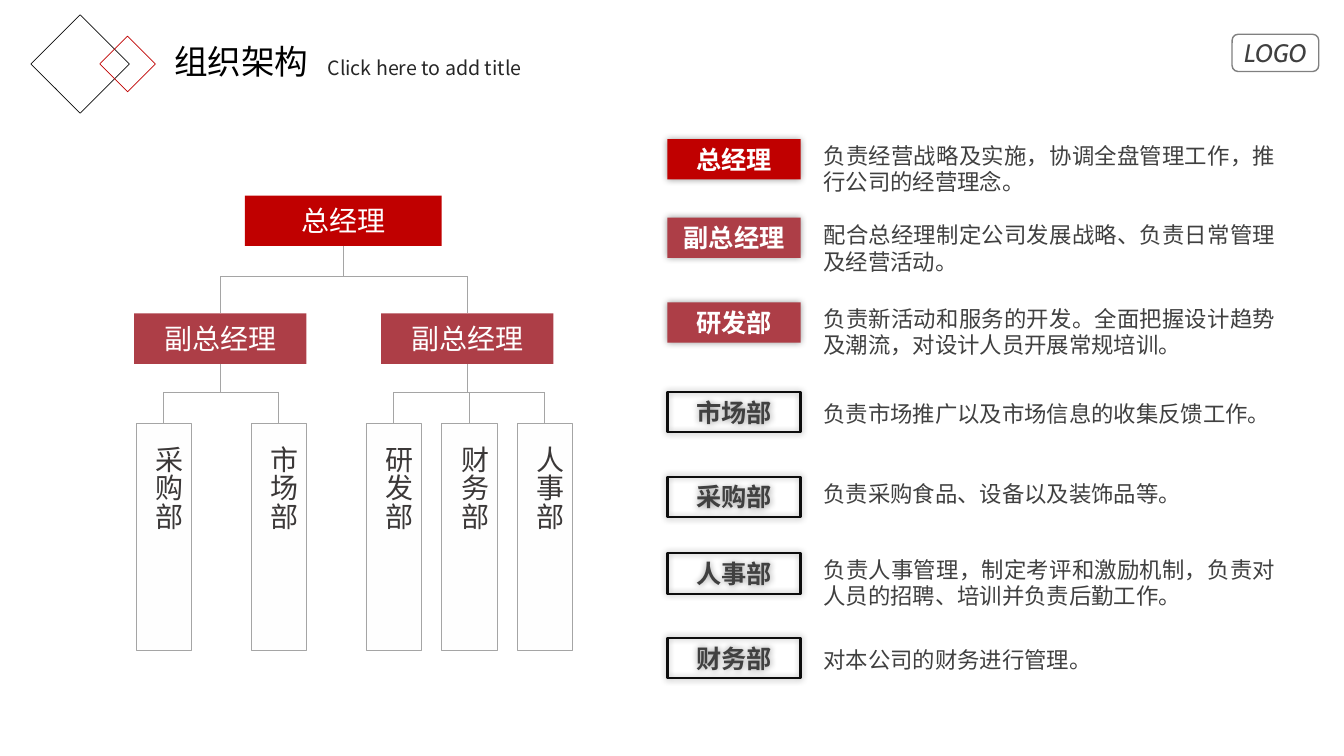
"""Build an organisation chart slide with a list of role descriptions."""
from dataclasses import dataclass

from lxml import etree
from pptx import Presentation
from pptx.dml.color import RGBColor
from pptx.enum.shapes import MSO_CONNECTOR, MSO_SHAPE
from pptx.enum.text import MSO_ANCHOR, PP_ALIGN
from pptx.oxml.ns import qn
from pptx.util import Emu, Pt

PX = 9144
FONT = "Noto Sans CJK SC"
RED, ROSE, WHITE, BLACK = "C00000", "AD3E47", "FFFFFF", "0D0D0D"
GREY, DARK, PALE = "A5A5A5", "404040", "FEFEFE"
RECT, ROUND = MSO_SHAPE.RECTANGLE, MSO_SHAPE.ROUNDED_RECTANGLE
STRAIGHT = MSO_CONNECTOR.STRAIGHT
TOP, MIDDLE = MSO_ANCHOR.TOP, MSO_ANCHOR.MIDDLE
LEFT, CENTER = PP_ALIGN.LEFT, PP_ALIGN.CENTER
RIGHT, JUSTIFY = PP_ALIGN.RIGHT, PP_ALIGN.JUSTIFY
TOP_SIDE, BOTTOM_SIDE = 0, 2


@dataclass
class Role:
    """A label with its duty, and the tops of both."""
    name: str
    duty: str
    y: int
    duty_y: int
    fill: str | None = None


@dataclass
class Team:
    """A deputy box and the departments below it."""
    x: int
    departments: dict[str, int]


ROLES = [
    Role("总经理", "负责经营战略及实施，协调全盘管理工作，推行公司的经营理念。", 138, 136, RED),
    Role("副总经理", "配合总经理制定公司发展战略、负责日常管理及经营活动。", 216, 215, ROSE),
    Role("研发部", "负责新活动和服务的开发。全面把握设计趋势及潮流，对设计人员开展常规培训。", 300, 298, ROSE),
    Role("市场部", "负责市场推广以及市场信息的收集反馈工作。", 389, 392),
    Role("采购部", "负责采购食品、设备以及装饰品等。", 473, 472),
    Role("人事部", "负责人事管理，制定考评和激励机制，负责对人员的招聘、培训并负责后勤工作。", 549, 547),
    Role("财务部", "对本公司的财务进行管理。", 633, 636),
]
TEAMS = [
    Team(133, {"采购部": 135, "市场部": 249}),
    Team(378, {"研发部": 363, "财务部": 438, "人事部": 513}),
]


def px(n: int) -> Emu:
    """Turn px into EMU."""
    return Emu(n * PX)


def rgb(value: str) -> RGBColor:
    """Turn a hex string into a colour."""
    return RGBColor.from_string(value)


def write(s, text: str, *, size: int, color: str, align=CENTER, anchor=MIDDLE,
          font: str = FONT, bold: bool = False, italic: bool = False,
          wrap: bool = True, spacing: int | None = None, margin: int = 10) -> None:
    """Put one formatted paragraph into a shape."""
    tf = s.text_frame
    tf.word_wrap = wrap
    tf.vertical_anchor = anchor
    tf.margin_left = tf.margin_right = px(margin)
    tf.margin_top = tf.margin_bottom = px(margin // 2)
    p = tf.paragraphs[0]
    p.alignment = align
    if spacing:
        p.line_spacing = Pt(spacing)
    r = p.add_run()
    r.text = text
    r.font.name, r.font.size = font, Pt(size)
    r.font.bold, r.font.italic = bold, italic
    r.font.color.rgb = rgb(color)
    ea = etree.SubElement(r._r.get_or_add_rPr(), qn("a:ea"))
    ea.set("typeface", font)


def add_box(slide, x: int, y: int, w: int, h: int, *, kind=RECT,
            fill: str | None = None, line: str | None = None, weight: float = 0.63):
    """Draw a shape with an optional fill and outline."""
    s = slide.shapes.add_shape(kind, px(x), px(y), px(w), px(h))
    s.shadow.inherit = False
    if fill:
        s.fill.solid()
        s.fill.fore_color.rgb = rgb(fill)
    else:
        s.fill.background()
    if line:
        s.line.color.rgb = rgb(line)
        s.line.width = Pt(weight)
    else:
        s.line.fill.background()
    return s


def add_text(slide, text: str, x: int, y: int, w: int, h: int, **fmt):
    """Add a text box."""
    s = slide.shapes.add_textbox(px(x), px(y), px(w), px(h))
    write(s, text, **fmt)
    return s


def add_glow(s) -> None:
    """Give a shape a soft, centred shadow."""
    effects = s._element.spPr.find(qn("a:effectLst"))
    shadow = etree.SubElement(effects, qn("a:outerShdw"), blurRad=str(Pt(5)),
                              dist="0", dir="0", algn="ctr", rotWithShape="0")
    color = etree.SubElement(shadow, qn("a:srgbClr"), val="000000")
    etree.SubElement(color, qn("a:alpha"), val="40000")


def add_line(slide, x1: int, y1: int, x2: int, y2: int):
    """Draw a thin grey line between two points in EMU."""
    c = slide.shapes.add_connector(STRAIGHT, x1, y1, x2, y2)
    c.line.color.rgb = rgb(GREY)
    c.line.width = Pt(0.63)
    etree.SubElement(c._element.spPr, qn("a:effectLst"))
    return c


def join(slide, parent, children: list, bus: int) -> None:
    """Link a parent box to its children through a horizontal bus."""
    y = px(bus)
    middles = [child.left + child.width // 2 for child in children]
    add_line(slide, middles[0], y, middles[-1], y)
    x = parent.left + parent.width // 2
    stem = add_line(slide, x, parent.top + parent.height, x, y)
    stem.begin_connect(parent, BOTTOM_SIDE)
    for child, middle in zip(children, middles):
        drop = add_line(slide, middle, y, middle, child.top)
        drop.end_connect(child, TOP_SIDE)


def draw_header(slide) -> None:
    """Draw the title, subtitle, diamonds and badge."""
    for x, y, side, color in ((45, 29, 69, BLACK), (107, 44, 39, RED)):
        add_box(slide, x, y, side, side, line=color, weight=0.5).rotation = 45
    badge = add_box(slide, 1222, 34, 86, 37, kind=ROUND, line="808080", weight=1)
    write(badge, "LOGO", size=18, color=DARK, font="Cabin", italic=True, margin=0)
    title = slide.shapes.title
    title.left, title.top, title.width, title.height = px(109), px(36), px(207), px(50)
    write(title, "组织架构", size=24, color="000000", align=RIGHT)
    add_text(slide, "Click here to add title", 315, 48, 213, 38,
             size=14, color="262626", align=LEFT)


def draw_department(slide, name: str, x: int):
    """Draw a tall department box with its vertical name."""
    s = add_box(slide, x, 420, 55, 225, fill=PALE, line=GREY)
    label = add_text(slide, name, x, 433, 54, 94, size=20, color="3B3838",
                     anchor=TOP, wrap=False)
    label.text_frame._txBody.bodyPr.set("vert", "eaVert")
    return s


def draw_chart(slide) -> None:
    """Draw the organisation chart."""
    boss = add_box(slide, 243, 194, 195, 50, fill=RED)
    write(boss, "总经理", size=20, color=WHITE)
    deputies = []
    for team in TEAMS:
        deputy = add_box(slide, team.x, 311, 171, 50, fill=ROSE)
        write(deputy, "副总经理", size=20, color=WHITE)
        boxes = [draw_department(slide, name, x) for name, x in team.departments.items()]
        join(slide, deputy, boxes, 389)
        deputies.append(deputy)
    join(slide, boss, deputies, 274)


def draw_role(slide, role: Role) -> None:
    """Draw a role label and its duty."""
    s = add_box(slide, 662, role.y, 132, 40, fill=role.fill,
                line=None if role.fill else BLACK, weight=1.5)
    add_glow(s)
    write(s, role.name, size=18, color=WHITE if role.fill else DARK, bold=True)
    add_text(slide, role.duty, 807, role.duty_y, 468, 64, size=16, color=DARK,
             align=JUSTIFY, anchor=TOP, spacing=19)


def main() -> None:
    """Build and save the slide."""
    prs = Presentation()
    prs.slide_width, prs.slide_height = px(1333), px(750)
    slide = prs.slides.add_slide(prs.slide_layouts[5])
    draw_header(slide)
    draw_chart(slide)
    for role in ROLES:
        draw_role(slide, role)
    prs.save("out.pptx")


if __name__ == "__main__":
    main()
